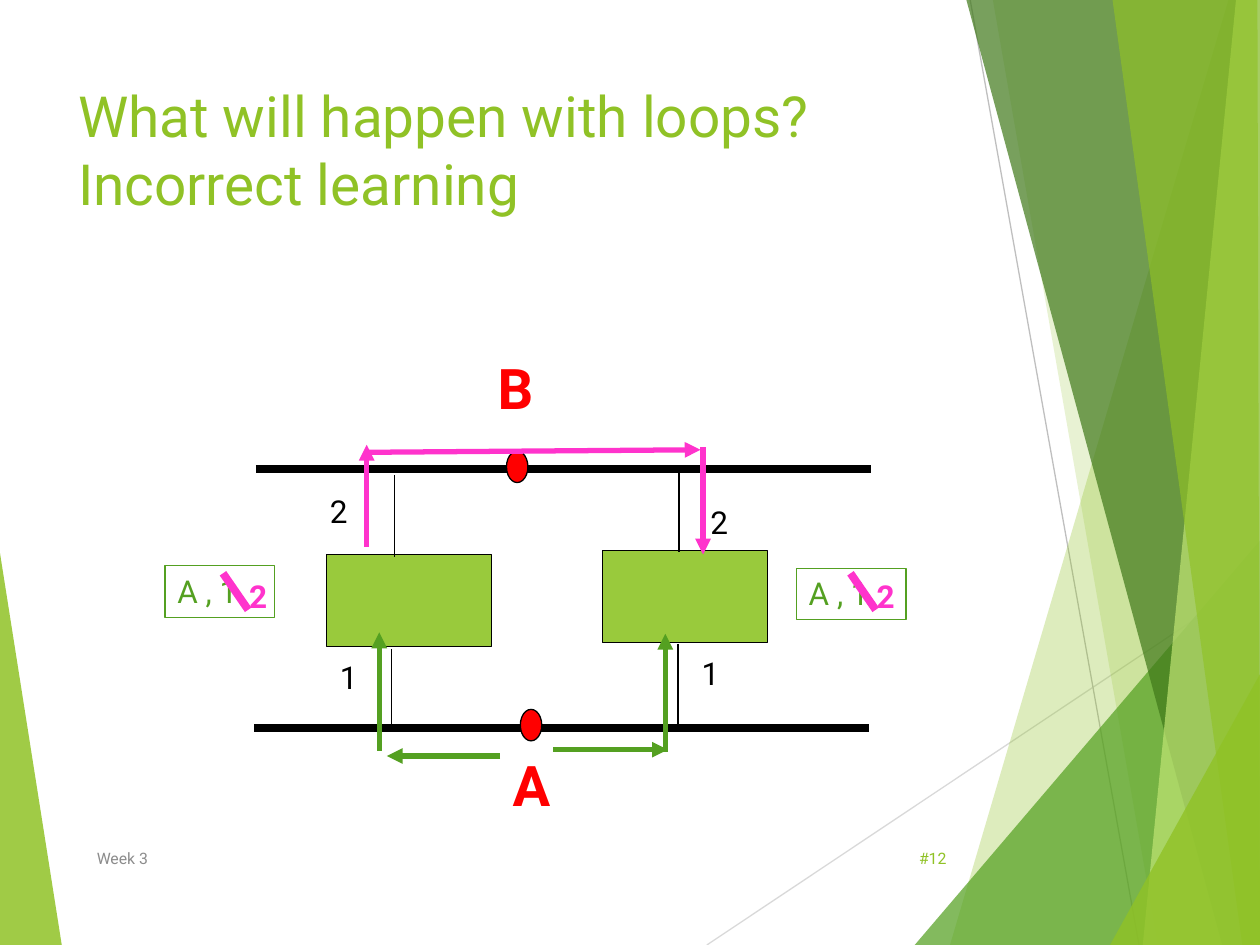
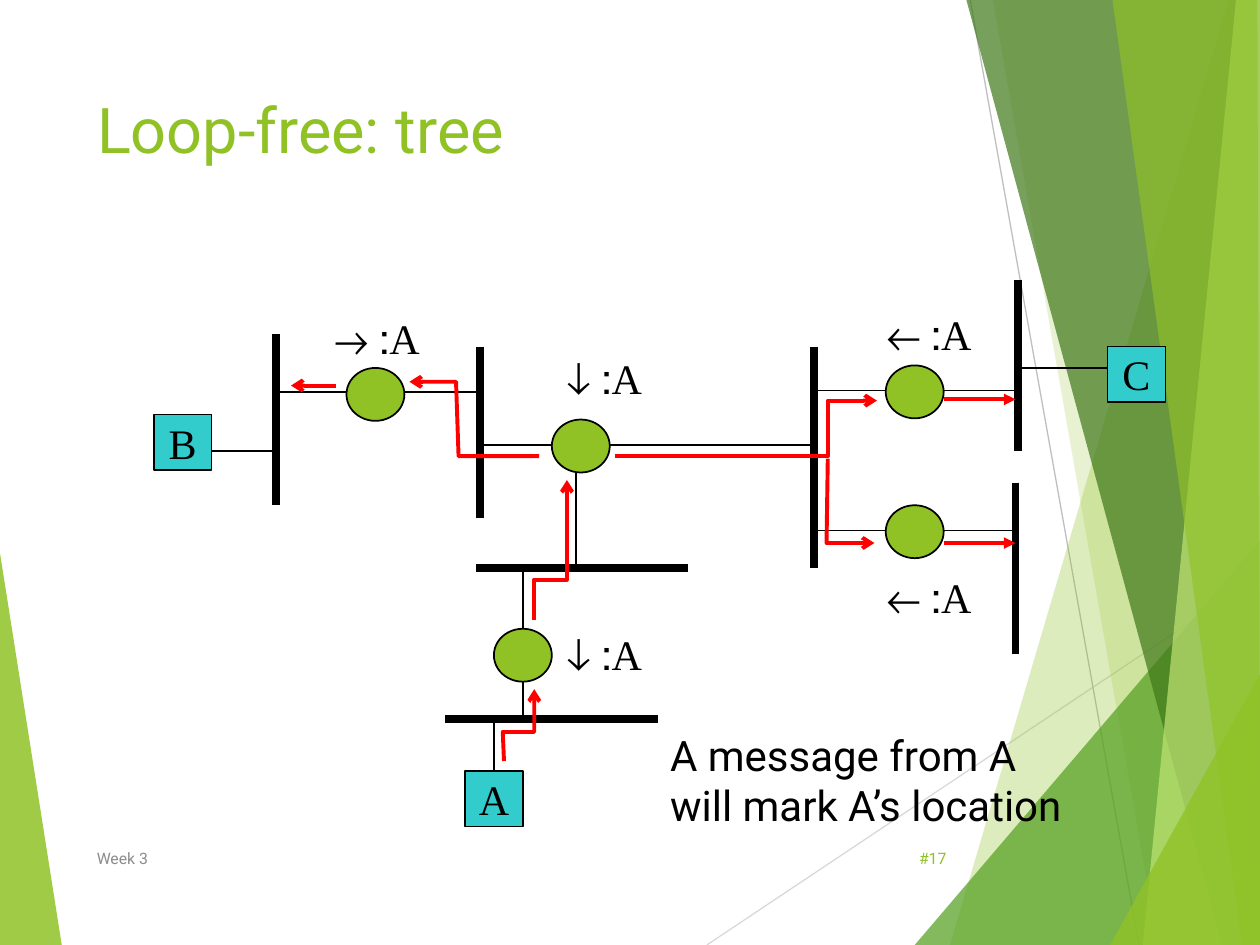
from lxml.etree import SubElement
from pptx import Presentation
from pptx.dml.color import RGBColor
from pptx.enum.shapes import MSO_CONNECTOR as Connector, MSO_SHAPE as Shape
from pptx.enum.text import MSO_ANCHOR as Anchor, MSO_AUTO_SIZE as AutoSize, PP_ALIGN as Align
from pptx.oxml.ns import qn
from pptx.util import Inches, Pt

BLACK = RGBColor(0, 0, 0)
RED = RGBColor(0xFF, 0, 0)
PINK = RGBColor(0xFF, 0x33, 0xCC)
LIME = RGBColor(0x90, 0xC2, 0x26)
GREEN = RGBColor(0x54, 0xA0, 0x21)
FOREST = RGBColor(0x3F, 0x78, 0x19)
PALE_LIME = RGBColor(0xC0, 0xE4, 0x74)
BRIDGE_GREEN = RGBColor(0x99, 0xCA, 0x3C)
HOST_TEAL = RGBColor(0x33, 0xCC, 0xCC)
FOOTER_GRAY = RGBColor(0x8C, 0x8C, 0x8C)
RAY_GRAY = RGBColor(0xBF, 0xBF, 0xBF)
RAY_LIGHT = RGBColor(0xD9, 0xD9, 0xD9)

SANS = "Roboto"
SERIF = "Times New Roman"
THIN, NODE, ARROW, WIRE = 0.75, 1, 2.25, 4.5

LEFT_BAND = ([(0, 4.39), (0.49, 7.5), (0, 7.5)], LIME, 85)
RIGHT_BANDS = [
    ([(9.75, 0), (7.54, 7.5), (10, 7.5), (10, 0)], LIME, 30),
    ([(7.88, 0), (9.19, 7.5), (10, 7.5), (10, 0)], LIME, 20),
    ([(7.26, 7.5), (10, 4.29), (10, 7.5)], GREEN, 72),
    ([(7.67, 0), (9.7, 7.5), (10, 7.5), (10, 0)], FOREST, 70),
    ([(9.81, 0), (9.07, 7.5), (10, 7.5), (10, 0)], PALE_LIME, 70),
    ([(8.83, 0), (9.86, 7.5), (10, 7.5), (9.98, 0)], LIME, 65),
    ([(8.81, 7.5), (10, 5.35), (10, 7.5)], LIME, 80),
]


class SlideBuilder:
    def __init__(self):
        self.deck = Presentation()
        self.deck.slide_width = Inches(10)
        self.deck.slide_height = Inches(7.5)
        self.page = None

    def start(self, number, title, place, size, anchor):
        self.page = self.deck.slides.add_slide(self.deck.slide_layouts[5])
        self.band(*LEFT_BAND)
        self.line((5.61, 7.5), (10, 4.57), RAY_LIGHT, THIN)
        self.line((7.7, 0), (9.04, 7.5), RAY_GRAY, THIN)
        for band in RIGHT_BANDS:
            self.band(*band)
        holder = self.page.shapes.title
        holder.left, holder.top, holder.width, holder.height = map(Inches, place)
        self.fill_text(holder, title, size, LIME, anchor=anchor)
        self.label("Week 3", (0.67, 6.61, 5.06, 0.4), 9, FOOTER_GRAY, anchor=Anchor.MIDDLE)
        self.label(f"#{number}", (7.05, 6.61, 0.56, 0.4), 9, LIME,
                   anchor=Anchor.MIDDLE, align=Align.RIGHT)

    def fill_text(self, box, text, size, color, font=SANS, bold=False, wrap=True,
                  anchor=Anchor.TOP, align=Align.LEFT, rtl=False):
        frame = box.text_frame
        frame.word_wrap = wrap
        frame.auto_size = AutoSize.NONE
        frame.vertical_anchor = anchor
        para = frame.paragraphs[0]
        para.alignment = align
        if rtl:
            para._p.get_or_add_pPr().set("rtl", "1")
        for index, line in enumerate(text.split("\n")):
            if index:
                para.add_line_break()
            span = para.add_run()
            span.text = line
            span.font.name = font
            span.font.size = Pt(size)
            span.font.bold = bold
            span.font.color.rgb = color

    def label(self, text, place, size, color, **style):
        box = self.page.shapes.add_textbox(*map(Inches, place))
        self.fill_text(box, text, size, color, **style)

    def shape(self, kind, place, fill, outline=BLACK, width=NODE):
        shape = self.page.shapes.add_shape(kind, *map(Inches, place))
        shape.shadow.inherit = False
        if fill is None:
            shape.fill.background()
        else:
            shape.fill.solid()
            shape.fill.fore_color.rgb = fill
        self.stroke(shape, outline, width)
        return shape

    def stroke(self, shape, color, width, head=None):
        shape.line.color.rgb = color
        shape.line.width = Pt(width)
        if head:
            SubElement(shape.line._get_or_add_ln(), qn("a:tailEnd"), type=head)

    def line(self, start, end, color=BLACK, width=NODE, head=None):
        link = self.page.shapes.add_connector(
            Connector.STRAIGHT, *map(Inches, start + end))
        self.stroke(link, color, width, head)
        SubElement(link._element.spPr, qn("a:effectLst"))
        return link

    def outline(self, points, close):
        corners = [(Inches(x), Inches(y)) for x, y in points]
        builder = self.page.shapes.build_freeform(*corners[0])
        builder.add_line_segments(corners[1:], close=close)
        shape = builder.convert_to_shape()
        shape.shadow.inherit = False
        return shape

    def band(self, points, color, opacity):
        shape = self.outline(points, True)
        shape.fill.solid()
        shape.fill.fore_color.rgb = color
        shape.line.fill.background()
        tint = shape._element.spPr.find(qn("a:solidFill"))[0]
        SubElement(tint, qn("a:alpha"), val=str(opacity * 1000))

    def trail(self, points):
        shape = self.outline(points, False)
        shape.fill.background()
        self.stroke(shape, RED, ARROW, "arrow")

    def bridge(self, left, top):
        self.shape(Shape.OVAL, (left, top, 0.46, 0.42), LIME)

    def host(self, name, left, top):
        box = self.shape(Shape.RECTANGLE, (left, top, 0.46, 0.44), HOST_TEAL)
        self.fill_text(box, name, 24, BLACK, font=SERIF, wrap=False,
                       anchor=Anchor.MIDDLE, align=Align.CENTER)
        return box


def build_loop_slide(slides):
    slides.start(12, "What will happen with loops?\nIncorrect learning",
                 (0.52, 0.52, 8.5, 1.25), 32.4, Anchor.BOTTOM)
    for left, y in [(2.03, 3.72), (2.02, 5.78)]:
        slides.line((left, y), (left + 4.88, y), width=WIRE)
    for left, top in [(2.59, 4.4), (4.78, 4.37)]:
        slides.shape(Shape.RECTANGLE, (left, top, 1.31, 0.73), BRIDGE_GREEN, width=THIN)
    for x, top in [(3.11, 5.15), (5.38, 5.11), (5.39, 3.73), (3.13, 3.77)]:
        slides.line((x, top), (x, top + 0.65), width=THIN)
    for name, left, top, dot_left, dot_top in [
            ("A", 3.97, 5.91, 4.13, 5.63), ("B", 3.85, 2.76, 4.02, 3.58)]:
        slides.label(name, (left, top, 0.79, 0.63), 32, RED, bold=True)
        slides.shape(Shape.OVAL, (dot_left, dot_top, 0.17, 0.25), RED, width=THIN)
    for port, left, top in [("1", 2.6, 5.17), ("1", 5.47, 5.14),
                            ("2", 5.54, 3.94), ("2", 2.52, 3.86)]:
        slides.label(port, (left, top, 0.5, 0.4), 18, BLACK)

    for start, end in [((3.97, 6), (3.07, 6)), ((4.39, 5.95), (5.3, 5.95)),
                       ((3.01, 5.96), (3.01, 5.02)), ((5.28, 5.97), (5.28, 5.03))]:
        slides.line(start, end, GREEN, 3, "triangle")
    entries = [(1.31, 4.49, 1.88, 1.77), (6.32, 4.51, 6.86, 6.75)]
    for left, top, _, _ in entries:
        entry = slides.shape(Shape.RECTANGLE, (left, top, 0.87, 0.41), None, GREEN, THIN)
        slides.fill_text(entry, "A , 1", 18, GREEN)
    for start, end in [((2.91, 4.34), (2.91, 3.53)), ((2.91, 3.59), (5.56, 3.57)),
                       ((5.58, 3.55), (5.58, 4.4))]:
        slides.line(start, end, PINK, 3, "triangle")
    for _, _, port_left, strike_left in entries:
        slides.label("2", (port_left, 4.53, 0.5, 0.4), 18, PINK, bold=True)
        slides.line((strike_left, 4.55), (strike_left + 0.2, 4.84), PINK, WIRE)


def build_tree_slide(slides):
    slides.start(17, "Loop-free: tree", (0.67, 0.67, 6.94, 1.44), 36, Anchor.TOP)
    for x, top, bottom in [(3.81, 2.75, 4.11), (2.19, 2.65, 4.01), (6.46, 2.75, 4.51),
                           (8.06, 3.83, 5.19), (8.08, 2.22, 3.58)]:
        slides.line((x, top), (x, bottom), width=WIRE)
    for left, right, y in [(3.78, 5.46, 4.51), (3.53, 5.22, 5.71)]:
        slides.line((left, y), (right, y), width=WIRE)
    for left, right, y in [
            (3.81, 4.38, 3.53), (4.83, 6.46, 3.53), (3.21, 3.78, 3.11), (2.18, 2.75, 3.11),
            (7.49, 8.06, 3.1), (6.46, 7.03, 3.1), (7.49, 8.06, 4.21), (6.47, 7.03, 4.21),
            (1.68, 2.18, 3.58), (8.08, 8.79, 2.92)]:
        slides.line((left, y), (right, y))
    for x, top, bottom in [(4.57, 3.75, 4.51), (4.15, 4.51, 4.99), (4.15, 5.4, 5.71)]:
        slides.line((x, top), (x, bottom))
    for left, top in [(4.38, 3.33), (2.75, 2.92), (7.03, 2.9), (7.03, 4.01), (3.92, 4.99)]:
        slides.bridge(left, top)

    host_a = slides.host("A", 3.69, 6.12)
    slides.host("B", 1.22, 3.29)
    slides.host("C", 8.79, 2.75)
    slides.line((3.92, 5.74), (3.92, 6.12)).end_connect(host_a, 0)

    for points in [
            [(4, 6.04), (3.99, 5.81), (4.24, 5.81), (4.24, 5.47)],
            [(4.24, 4.92), (4.24, 4.6), (4.5, 4.6), (4.5, 3.81)],
            [(4.28, 3.62), (3.64, 3.62), (3.62, 3.03), (3.25, 3.03)],
            [(4.88, 3.62), (6.57, 3.62), (6.57, 3.18), (6.96, 3.18)],
            [(6.57, 3.64), (6.56, 4.31), (6.94, 4.31)]]:
        slides.trail(points)
    slides.line((2.67, 3.06), (2.31, 3.06), RED, ARROW, "arrow")
    for y in (3.17, 4.31):
        slides.line((7.49, y), (8.06, y), RED, ARROW, "triangle")

    for direction, left, top in [("↓", 4.4, 2.75), ("→", 2.56, 2.43), ("←", 6.94, 4.49),
                                 ("←", 6.94, 2.4), ("↓", 4.4, 4.94)]:
        slides.label(f"A: {direction}", (left, top, 0.95, 0.5), 24, BLACK,
                     font=SERIF, rtl=True)
    slides.label("A message from A\nwill mark A’s location", (5.22, 5.74, 3.53, 0.9), 24, BLACK)


def main():
    slides = SlideBuilder()
    build_loop_slide(slides)
    build_tree_slide(slides)
    slides.deck.save("out.pptx")


if __name__ == "__main__":
    main()
